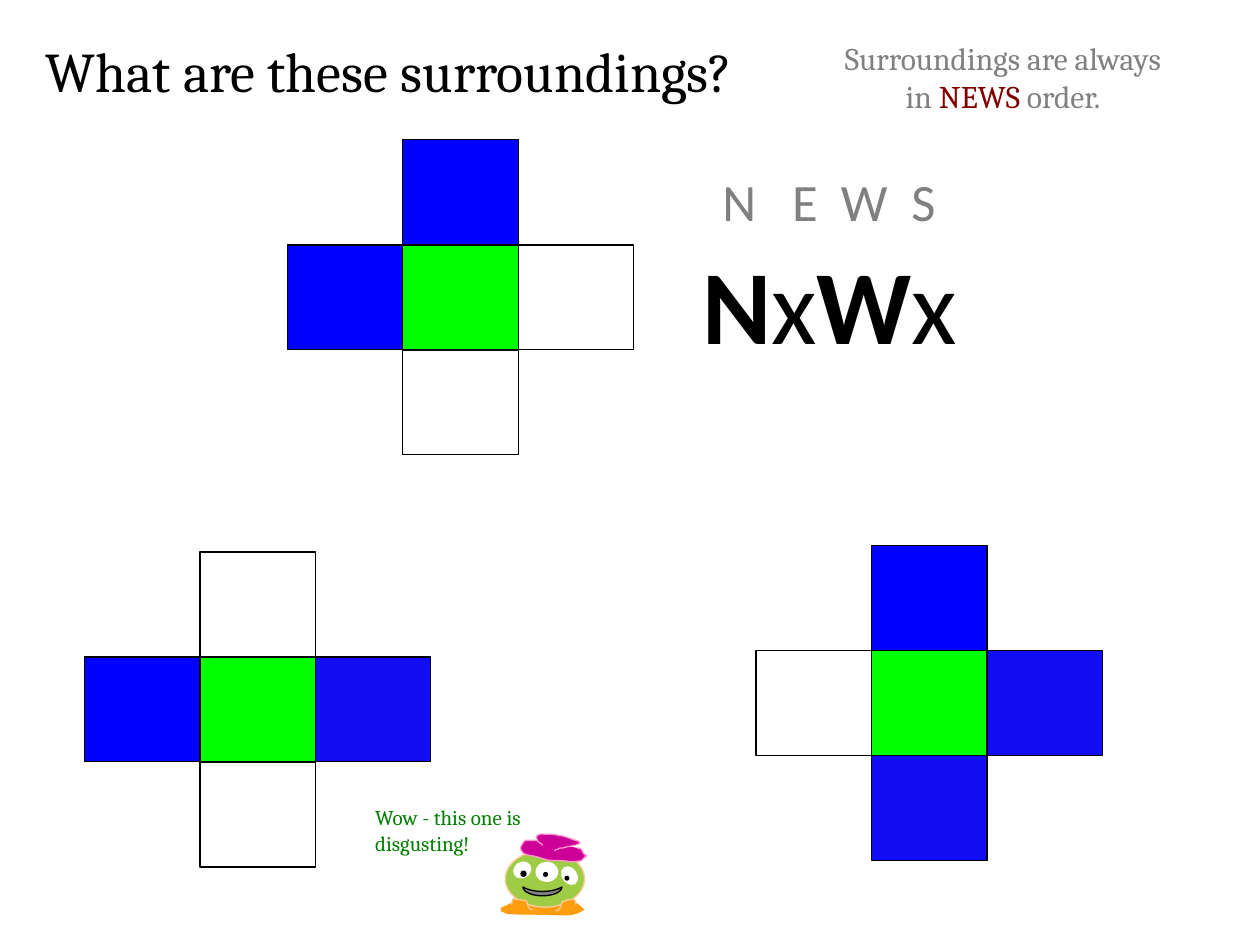
import dataclasses

import pptx
import pptx.dml.color
import pptx.enum.shapes
import pptx.enum.text
import pptx.oxml.ns
import pptx.util
from lxml import etree

Inches = pptx.util.Inches
SHAPE = pptx.enum.shapes.MSO_SHAPE
ALIGN = pptx.enum.text.PP_ALIGN
qn = pptx.oxml.ns.qn


@dataclasses.dataclass(frozen=True)
class Theme:
    serif: str = "Cambria"
    sans: str = "Calibri"
    black: str = "000000"
    white: str = "FFFFFF"
    grey: str = "808080"
    maroon: str = "800000"
    dark_green: str = "008000"
    green: str = "00FF00"
    blue: str = "0000FF"
    soft_blue: str = "120DF3"
    skin: str = "9ECC46"
    orange: str = "FD9D0F"
    peach: str = "FFCC99"
    magenta: str = "CC0099"
    pink: str = "FF99CC"
    title_size: int = 32
    code_size: int = 60
    letter_size: int = 30
    note_size: int = 18
    speech_size: int = 12
    line_width: float = 0.75


THEME = Theme()


def rgb(value):
    return pptx.dml.color.RGBColor.from_string(value)


def add_run(p, text, font=THEME.serif, size=THEME.note_size, color=THEME.black, bold=False):
    r = p.add_run()
    r.text = text
    r.font.name = font
    r.font.size = pptx.util.Pt(size)
    r.font.color.rgb = rgb(color)
    r.font.bold = bold
    return r


class SlideBuilder:
    def __init__(self, prs, theme):
        self.theme = theme
        self.slide = prs.slides.add_slide(prs.slide_layouts[5])
        self.shapes = self.slide.shapes

    def paint(self, s, fill=None, line=None):
        s.shadow.inherit = False
        if fill:
            s.fill.solid()
            s.fill.fore_color.rgb = rgb(fill)
        else:
            s.fill.background()
        if line:
            s.line.color.rgb = rgb(line)
            s.line.width = pptx.util.Pt(self.theme.line_width)
        else:
            s.line.fill.background()
        return s

    def title(self, text, box):
        s = self.slide.shapes.title
        s.left, s.top, s.width, s.height = map(Inches, box)
        tf = s.text_frame
        tf.vertical_anchor = pptx.enum.text.MSO_ANCHOR.TOP
        p = tf.paragraphs[0]
        p.alignment = ALIGN.LEFT
        add_run(p, text, size=self.theme.title_size)

    def text(self, box, runs, align=ALIGN.LEFT, tabs=(), **style):
        tf = self.slide.shapes.add_textbox(*map(Inches, box)).text_frame
        tf.word_wrap = True
        p = tf.paragraphs[0]
        p.alignment = align
        if tabs:
            tab_list = etree.SubElement(p._p.get_or_add_pPr(), qn("a:tabLst"))
            for pos in tabs:
                etree.SubElement(tab_list, qn("a:tab"), pos=str(Inches(pos)), algn="ctr")
        for text, extra in runs:
            add_run(p, text, **{**style, **extra})

    def shape(self, kind, box, fill=None, line=None, rotation=0):
        s = self.shapes.add_shape(kind, *map(Inches, box))
        s.rotation = rotation
        return self.paint(s, fill, line)

    def curve(self, points, fill, line, close=False):
        points = [(Inches(x), Inches(y)) for x, y in points]
        builder = self.shapes.build_freeform(*points[0], scale=1.0)
        builder.add_line_segments(points[3::3], close=close)
        s = builder.convert_to_shape()
        for i, segment in enumerate(list(s._element.iter(qn("a:lnTo")))):
            bezier = etree.Element(qn("a:cubicBezTo"))
            for x, y in points[3 * i + 1:3 * i + 4]:
                etree.SubElement(bezier, qn("a:pt"), x=str(x - s.left), y=str(y - s.top))
            segment.getparent().replace(segment, bezier)
        return self.paint(s, fill, line)

    def cross(self, left, top, north, east, west, south):
        w, h = 2.75 / 3, 2.5 / 3
        cells = ((1, 1, self.theme.green), (0, 1, west), (1, 0, north),
                 (1, 2, south), (2, 1, east))
        for col, row, fill in cells:
            self.shape(SHAPE.RECTANGLE, (left + col * w, top + row * h, w, h),
                       fill, self.theme.black)

    def monster(self):
        t = self.theme
        self.shapes = self.slide.shapes.add_group_shape().shapes
        self.curve(FEET, t.orange, t.orange, close=True)
        self.shape(SHAPE.OVAL, (4.01, 6.75, 0.63, 0.45), t.skin, t.peach)
        for box, rotation in (((4.07, 6.84, 0.15, 0.13), 327.2),
                              ((4.25, 6.84, 0.18, 0.16), 0),
                              ((4.46, 6.87, 0.12, 0.16), 325.5)):
            self.shape(SHAPE.OVAL, box, t.white, rotation=rotation)
        for x, y, d in ((4.13, 6.91, 0.05), (4.31, 6.92, 0.04), (4.48, 6.95, 0.04)):
            self.shape(SHAPE.OVAL, (x, y, d, d), t.black)
        self.shape(SHAPE.MOON, (4.27, 6.92, 0.07, 0.31), t.grey, t.black, rotation=270)
        for points in (HAT_BRIM, HAT_TOP):
            self.curve(points, t.magenta, t.pink)
        for points in (LEFT_TOE, RIGHT_TOE):
            self.curve(points, t.orange, t.peach)
        self.shapes = self.slide.shapes


FEET = [(4.31, 7.11), (4.4, 7.1), (4.47, 7.13), (4.55, 7.15), (4.56, 7.16), (4.56, 7.16),
        (4.57, 7.17), (4.58, 7.18), (4.6, 7.19), (4.6, 7.19), (4.61, 7.2), (4.62, 7.2),
        (4.63, 7.22), (4.57, 7.26), (4.53, 7.26), (4.45, 7.26), (4.1, 7.25), (4.24, 7.26),
        (4.03, 7.25), (4.01, 7.24), (4, 7.24), (3.98, 7.23), (3.98, 7.23), (3.98, 7.22),
        (3.98, 7.21), (3.99, 7.2), (4.03, 7.19), (4.04, 7.18), (4.06, 7.17), (4.08, 7.16),
        (4.11, 7.15), (4.13, 7.14), (4.13, 7.15), (4.15, 7.13), (4.16, 7.13), (4.17, 7.12),
        (4.18, 7.11), (4.19, 7.11), (4.22, 7.1), (4.22, 7.1), (4.24, 7.11), (4.27, 7.11),
        (4.29, 7.11), (4.31, 7.12), (4.3, 7.12), (4.31, 7.11)]
HAT_BRIM = [(4.3, 6.67), (4.26, 6.67), (4.21, 6.67), (4.17, 6.67), (4.15, 6.68),
            (4.13, 6.73), (4.13, 6.73), (4.15, 6.8), (4.19, 6.78), (4.26, 6.8),
            (4.3, 6.81), (4.34, 6.83), (4.38, 6.83), (4.43, 6.83), (4.48, 6.83),
            (4.53, 6.84), (4.66, 6.83), (4.59, 6.84), (4.66, 6.79), (4.65, 6.79),
            (4.63, 6.78), (4.63, 6.77), (4.62, 6.75), (4.62, 6.73), (4.58, 6.73)]
HAT_TOP = [(4.31, 6.71), (4.3, 6.7), (4.29, 6.69), (4.27, 6.68), (4.26, 6.65),
           (4.24, 6.63), (4.29, 6.62), (4.3, 6.62), (4.41, 6.62), (4.43, 6.63),
           (4.47, 6.63), (4.51, 6.65), (4.54, 6.66), (4.56, 6.67), (4.58, 6.67),
           (4.6, 6.68), (4.6, 6.69), (4.6, 6.7), (4.59, 6.7), (4.58, 6.71),
           (4.49, 6.72), (4.47, 6.73), (4.46, 6.73), (4.46, 6.73), (4.45, 6.73),
           (4.44, 6.73), (4.43, 6.74), (4.43, 6.74), (4.42, 6.74), (4.4, 6.75), (4.4, 6.75)]
LEFT_TOE = [(4.06, 7.18), (4.07, 7.12), (4.06, 7.13), (4.12, 7.14), (4.14, 7.14),
            (4.18, 7.15), (4.18, 7.15), (4.19, 7.18), (4.19, 7.22), (4.23, 7.22)]
RIGHT_TOE = [(4.57, 7.18), (4.56, 7.13), (4.58, 7.14), (4.51, 7.14), (4.49, 7.15),
             (4.46, 7.16), (4.46, 7.16), (4.45, 7.19), (4.45, 7.23), (4.41, 7.23)]


def main():
    t = THEME
    prs = pptx.Presentation()
    prs.slide_width, prs.slide_height = Inches(10), Inches(7.5)
    b = SlideBuilder(prs, t)
    b.title("What are these surroundings?", (0.26, 0.24, 7.07, 0.64))
    b.cross(2.28, 1.11, north=t.blue, east=None, west=t.blue, south=None)
    b.text((5.46, 1.85, 2.25, 1.1),
           [(letter, {"bold": letter.isupper()}) for letter in "NxWx"],
           align=ALIGN.CENTER, font=t.sans, size=t.code_size)
    b.text((5.46, 1.29, 2.25, 0.6), [("\tN\tE\tW\tS", {})], tabs=(0.31, 0.83, 1.3, 1.77),
           font=t.sans, size=t.letter_size, color=t.grey)
    b.text((6.55, 0.26, 2.82, 0.7),
           [("Surroundings are always in ", {}), ("NEWS ", {"color": t.maroon}), ("order.", {})],
           align=ALIGN.CENTER, color=t.grey)
    b.cross(0.67, 4.38, north=t.white, east=t.soft_blue, west=t.blue, south=t.white)
    b.cross(6, 4.33, north=t.blue, east=t.soft_blue, west=t.white, south=t.soft_blue)
    b.monster()
    b.text((2.88, 6.34, 1.63, 0.5), [("Wow - this one is disgusting!", {})],
           size=t.speech_size, color=t.dark_green)
    prs.save("out.pptx")


if __name__ == "__main__":
    main()
